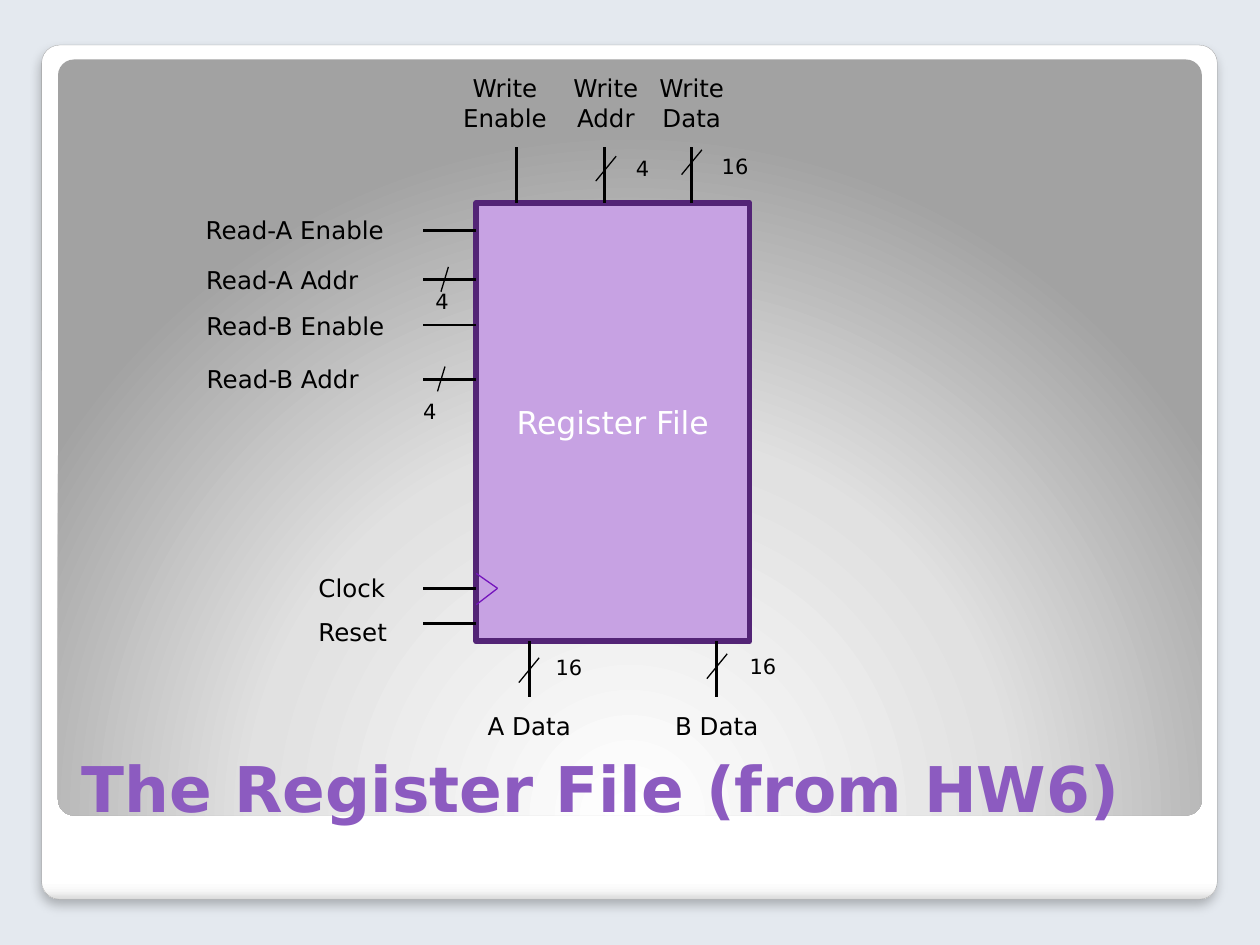
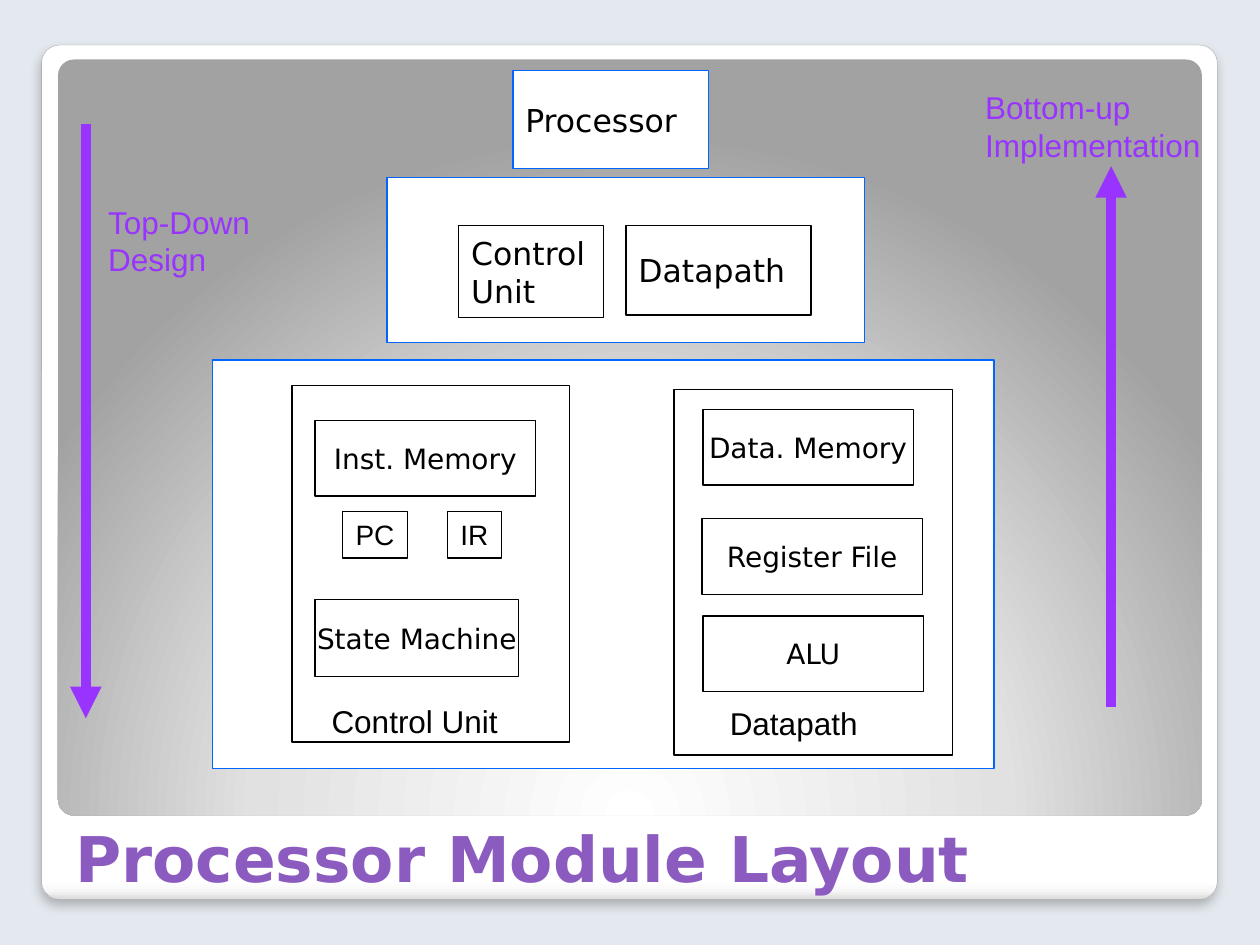
from lxml import etree
from pptx import Presentation
from pptx.dml.color import RGBColor
from pptx.enum.shapes import MSO_CONNECTOR, MSO_SHAPE
from pptx.enum.text import MSO_ANCHOR, MSO_AUTO_SIZE, PP_ALIGN
from pptx.oxml import parse_xml
from pptx.oxml.ns import nsdecls, qn
from pptx.util import Cm, Pt

RECTANGLE, ROUNDED = MSO_SHAPE.RECTANGLE, MSO_SHAPE.ROUNDED_RECTANGLE
STRAIGHT = MSO_CONNECTOR.STRAIGHT
LEFT, CENTER = PP_ALIGN.LEFT, PP_ALIGN.CENTER
TOP, MIDDLE, BOTTOM = MSO_ANCHOR.TOP, MSO_ANCHOR.MIDDLE, MSO_ANCHOR.BOTTOM
GROW, FIXED = MSO_AUTO_SIZE.SHAPE_TO_FIT_TEXT, MSO_AUTO_SIZE.NONE

BLACK = RGBColor(0x00, 0x00, 0x00)
WHITE = RGBColor(0xFF, 0xFF, 0xFF)
BACKDROP = RGBColor(0xE4, 0xE9, 0xEF)
FRAME_LINE = RGBColor(0xA4, 0xA4, 0xA4)
TITLE_PURPLE = RGBColor(0x8C, 0x5B, 0xC0)
LILAC = RGBColor(0xC7, 0xA2, 0xE3)
DARK_PURPLE = RGBColor(0x53, 0x24, 0x76)
CLOCK_PURPLE = RGBColor(0x74, 0x14, 0xBC)
ARROW_PURPLE = RGBColor(0x99, 0x33, 0xFF)
BLUE = RGBColor(0x00, 0x66, 0xFF)
SANS, ARIAL = "DejaVu Sans", "Arial"

CARD = (0.84, 0.91, 23.7, 17.22)
PANEL = (1.17, 1.2, 23.06, 15.24)
CARD_STOPS = [(0, "FFFFFF"), (98, "FFFFFF"), (99, "F7F7F7"), (100, "DADADA")]
PANEL_STOPS = [(0, "FFFFFF"), (55, "E1E1E1"), (100, "A2A2A2")]
CARD_SHADE = '<a:lin ang="5400000" scaled="0"/>'
PANEL_SHADE = ('<a:path path="circle"><a:fillToRect l="50000" t="175000" '
               'r="50000" b="-75000"/></a:path>')
CARD_SHADOW = (f'<a:outerShdw {nsdecls("a")} blurRad="76200" dist="50800" '
               'dir="5400000" algn="tl" rotWithShape="0"><a:srgbClr val="000000">'
               '<a:alpha val="25000"/></a:srgbClr></a:outerShdw>')

REGISTER_FILE = (9.6, 4.09, 5.51, 8.84)
STUB = 1.12
SIDE_STUB = 1.07
SIDE_INPUTS = [
    ("Read-A Enable", 4.65, (3.86, 4.22, 4.17), CENTER),
    ("Read-A Addr", 5.64, (3.86, 5.21, 3.66), CENTER),
    ("Read-B Enable", 6.55, (3.86, 6.15, 4.19), CENTER),
    ("Read-B Addr", 7.65, (3.86, 7.21, 3.68), CENTER),
    ("Clock", 11.86, (6.17, 11.43, 1.85), LEFT),
    ("Reset", 12.57, (6.17, 12.32, 1.91), LEFT),
]
TOP_INPUTS = [
    ("Write\nEnable", 10.41, 9.03, 2.3),
    ("Write\nAddr", 12.19, 11.3, 1.83),
    ("Write\nData", 13.94, 13.03, 1.83),
]
OUTPUTS = [("A Data", 10.67), ("B Data", 14.45)]
CLOCK_NOTCH = [(9.6, 11.56), (10.03, 11.86), (9.6, 12.19)]
STEEP, SLANTED = 0.15, 0.41
BUSES = [
    ("4", (8.53, 5.69), (9.04, 5.38), STEEP),
    ("4", (8.28, 7.9), (8.97, 7.39), STEEP),
    ("16", (10.95, 13.08), (10.87, 13.26), SLANTED),
    ("16", (14.86, 13.06), (14.66, 13.18), SLANTED),
    ("16", (14.3, 2.97), (14.15, 3.02), SLANTED),
    ("4", (12.57, 3.02), (12.42, 3.15), SLANTED),
]
BUS_LABEL_WIDTH = {"4": 0.79, "16": 1.07}

MODULE = dict(size=16, align=CENTER)
REGISTER = dict(size=16, align=CENTER, font=ARIAL, anchor=TOP, fit=GROW, fill=None)
LEVELS = [
    ("Processor", (10.34, 1.42, 3.94, 1.98), dict(line=BLUE)),
    ("", (7.8, 3.58, 9.63, 3.33), dict(line=BLUE)),
    ("Control\nUnit", (9.25, 4.55, 2.92, 1.85), {}),
    ("Datapath", (12.62, 4.55, 3.73, 1.8), {}),
    ("", (4.29, 7.26, 15.75, 8.23), dict(line=BLUE)),
    ("", (5.89, 7.77, 5.59, 7.19), {}),
    ("Inst. Memory", (6.35, 8.48, 4.45, 1.52), MODULE),
    ("PC", (6.91, 10.31, 1.3, 0.94), REGISTER),
    ("IR", (9.02, 10.31, 1.09, 0.94), REGISTER),
    ("State Machine", (6.35, 12.09, 4.11, 1.55), MODULE),
    ("", (13.59, 7.85, 5.61, 7.37), {}),
    ("Data. Memory", (14.17, 8.26, 4.24, 1.52), MODULE),
    ("Register File", (14.15, 10.46, 4.45, 1.52), MODULE),
    ("ALU", (14.17, 12.42, 4.45, 1.52), MODULE),
]
CAPTIONS = [
    ("Control Unit", (6.43, 14.02, 3.86, 1.02), BLACK, CENTER),
    ("Datapath", (14.45, 14.07, 3.1, 1.02), BLACK, CENTER),
    ("Top-Down\nDesign", (1.93, 3.96, 3.43, 1.78), ARROW_PURPLE, LEFT),
    ("Bottom-up\nImplementation", (19.61, 1.65, 4.85, 1.78), ARROW_PURPLE, LEFT),
]
ARROWS = [(1.73, 2.51, 14.48), (22.4, 14.25, 3.35)]


def write(box, text, size=14, font=SANS, color=BLACK, bold=False, align=LEFT,
          anchor=TOP, wrap=False, fit=GROW):
    frame = box.text_frame
    frame.word_wrap = wrap
    frame.auto_size = fit
    frame.vertical_anchor = anchor
    for index, words in enumerate(text.split("\n")):
        para = frame.add_paragraph() if index else frame.paragraphs[0]
        para.alignment = align
        span = para.add_run()
        span.text = words
        span.font.name = font
        span.font.size = Pt(size)
        span.font.bold = bold
        span.font.color.rgb = color


def add_label(page, text, place, **style):
    write(page.shapes.add_textbox(*map(Cm, place)), text, **style)


def add_box(page, place, text="", kind=RECTANGLE, fill=WHITE, line=BLACK,
            weight=0.75, **style):
    box = page.shapes.add_shape(kind, *map(Cm, place))
    box.shadow.inherit = False
    if fill is None:
        box.fill.background()
    else:
        box.fill.solid()
        box.fill.fore_color.rgb = fill
    if line is None:
        box.line.fill.background()
    else:
        box.line.color.rgb = line
        box.line.width = Pt(weight)
    if text:
        write(box, text, **{"size": 18, "anchor": MIDDLE, "fit": FIXED, **style})
    return box


def add_line(page, start, end, color=BLACK, weight=1.5, arrow=False):
    wire = page.shapes.add_connector(STRAIGHT, *map(Cm, (*start, *end)))
    wire.line.color.rgb = color
    wire.line.width = Pt(weight)
    if arrow:
        etree.SubElement(wire.line._get_or_add_ln(), qn("a:tailEnd"), type="triangle")
    etree.SubElement(wire._element.spPr, qn("a:effectLst"))


def add_gradient_box(page, place, stops, shade, line=None):
    box = add_box(page, place, kind=ROUNDED, fill=None, line=line, weight=0.16)
    box.adjustments[0] = 0.021
    marks = "".join(f'<a:gs pos="{at * 1000}"><a:srgbClr val="{color}"/></a:gs>'
                    for at, color in stops)
    properties = box._element.spPr
    properties.replace(properties.find(qn("a:noFill")), parse_xml(
        f'<a:gradFill {nsdecls("a")} rotWithShape="1"><a:gsLst>{marks}</a:gsLst>'
        f'{shade}</a:gradFill>'))
    return properties


def add_page(deck):
    page = deck.slides.add_slide(deck.slide_layouts[6])
    page.background.fill.solid()
    page.background.fill.fore_color.rgb = BACKDROP
    card = add_gradient_box(page, CARD, CARD_STOPS, CARD_SHADE, FRAME_LINE)
    card.find(qn("a:effectLst")).append(parse_xml(CARD_SHADOW))
    add_gradient_box(page, PANEL, PANEL_STOPS, PANEL_SHADE)
    return page


def add_title(page, text, left, top):
    add_label(page, text, (left, top, 22.73, 2.92), size=36, color=TITLE_PURPLE,
              bold=True, anchor=BOTTOM, wrap=True, fit=FIXED)


def build_register_file(deck):
    page = add_page(deck)
    add_title(page, "The Register File (from HW6)", 1.4, 13.84)
    left, top, _, height = REGISTER_FILE
    bottom = top + height
    add_box(page, REGISTER_FILE, "Register File", fill=LILAC, line=DARK_PURPLE,
            weight=3.35, color=WHITE, align=CENTER, wrap=True)
    for start, end in zip(CLOCK_NOTCH, CLOCK_NOTCH[1:]):
        add_line(page, start, end, CLOCK_PURPLE, 0.75)
    for text, y, place, align in SIDE_INPUTS:
        add_line(page, (left - SIDE_STUB, y), (left, y))
        add_label(page, text, (*place, 0.86), align=align)
    for text, x, label_left, width in TOP_INPUTS:
        add_line(page, (x, top - STUB), (x, top))
        add_label(page, text, (label_left, 1.35, width, 1.45), align=CENTER)
    for text, x in OUTPUTS:
        add_line(page, (x, bottom), (x, bottom + STUB))
        add_label(page, text, (x - 1.1, 14.2, 2.2, 0.86), align=CENTER)
    for bits, place, (x, y), run in BUSES:
        add_line(page, (x, y), (x - run, y + 0.5), weight=0.75)
        add_label(page, bits, (*place, BUS_LABEL_WIDTH[bits], 0.76), size=12)


def build_module_layout(deck):
    page = add_page(deck)
    add_title(page, "Processor Module Layout", 1.27, 15.24)
    for text, place, style in LEVELS:
        add_box(page, place, text, **style)
    for x, start, end in ARROWS:
        add_line(page, (x, start), (x, end), ARROW_PURPLE, 6, arrow=True)
    for text, place, color, align in CAPTIONS:
        add_label(page, text, place, size=18, font=ARIAL, color=color, align=align)


def main():
    deck = Presentation()
    deck.slide_width, deck.slide_height = Cm(25.4), Cm(19.05)
    build_register_file(deck)
    build_module_layout(deck)
    deck.save("out.pptx")


if __name__ == "__main__":
    main()
